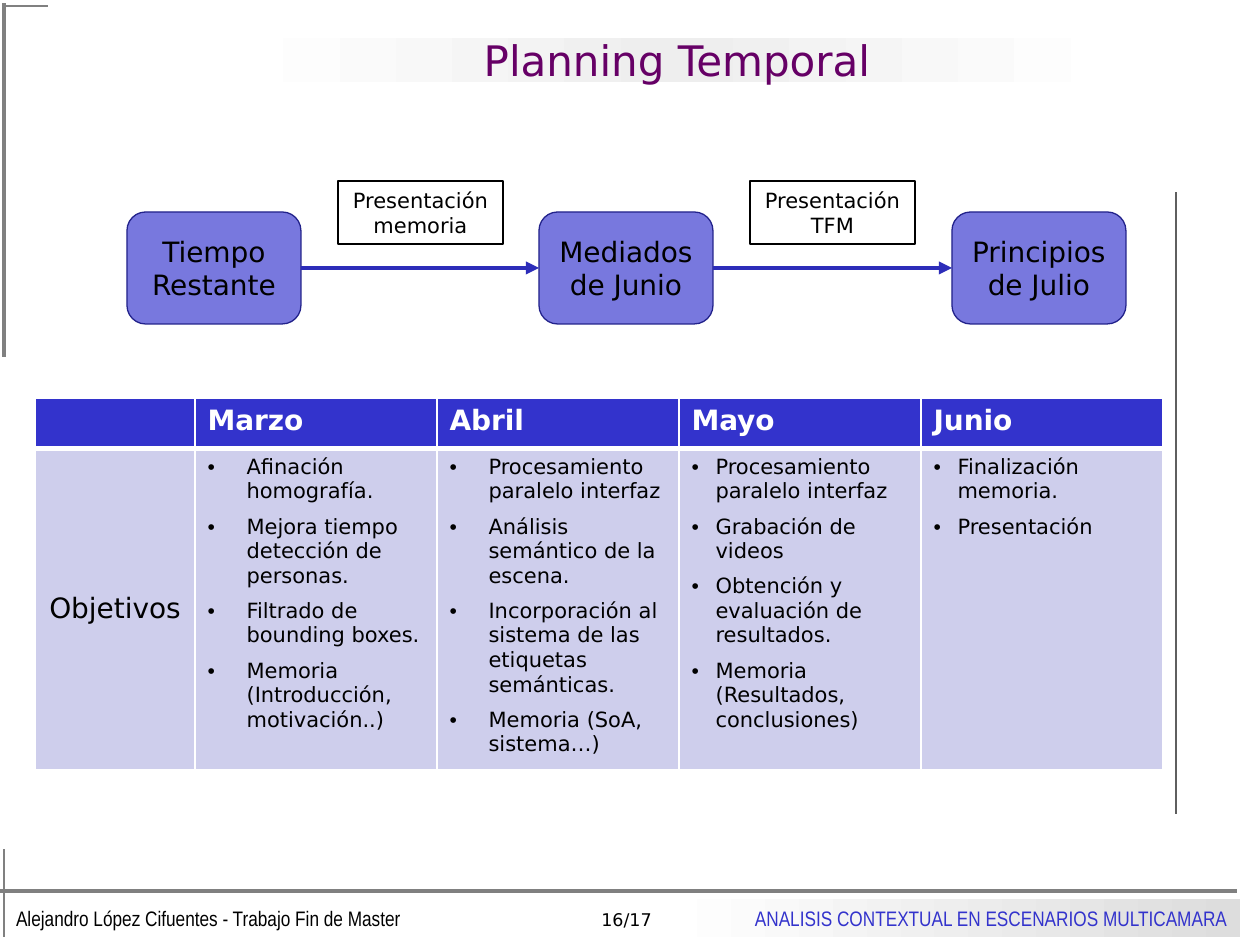
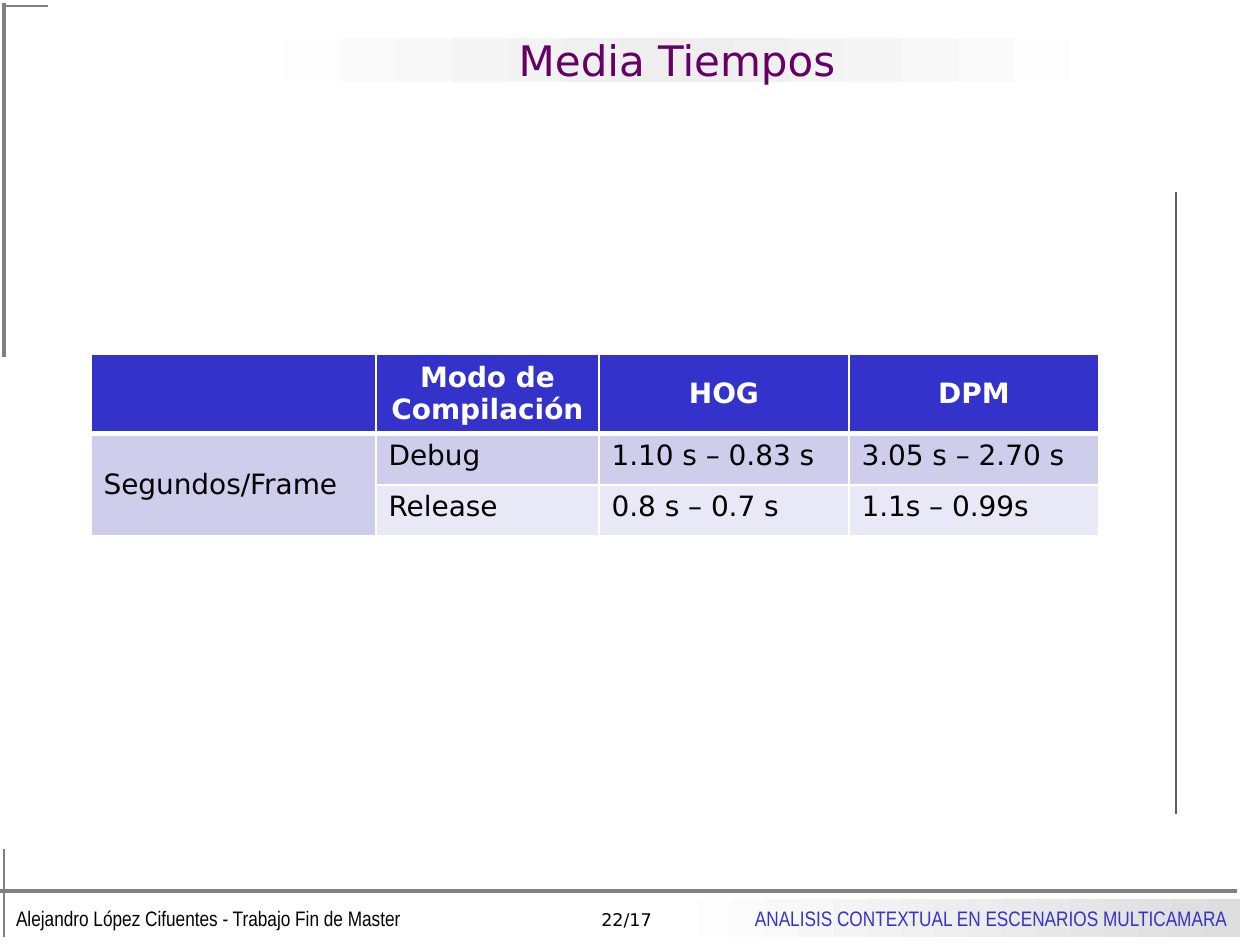
from lxml import etree
from pptx import Presentation
from pptx.dml.color import RGBColor
from pptx.enum.shapes import MSO_CONNECTOR, MSO_SHAPE
from pptx.enum.text import MSO_ANCHOR as ANCHOR, PP_ALIGN as ALIGN
from pptx.oxml import parse_xml
from pptx.oxml.ns import nsdecls, qn
from pptx.util import Emu, Pt

PURPLE = RGBColor(0x66, 0x00, 0x66)
BLUE = RGBColor(0x33, 0x33, 0xCC)
ARROW_BLUE = RGBColor(0x2D, 0x2D, 0xB9)
BOX_FILL = RGBColor(0x78, 0x78, 0xDE)
BOX_LINE = RGBColor(0x22, 0x22, 0x8B)
ROW_DARK = RGBColor(0xCE, 0xCE, 0xEC)
ROW_LIGHT = RGBColor(0xE8, 0xE8, 0xF6)
GRAY = RGBColor(0x80, 0x80, 0x80)
DARK_GRAY = RGBColor(0x5F, 0x5F, 0x5F)
BAND_GRAY = RGBColor(0xDD, 0xDD, 0xDD)
TITLE_GRAY = RGBColor(0xEE, 0xEE, 0xEE)
BLACK = RGBColor(0, 0, 0)
WHITE = RGBColor(0xFF, 0xFF, 0xFF)

SANS, NARROW = "DejaVu Sans", "Arial Narrow"
PX = 914400 / 126

AUTHOR = "Alejandro López Cifuentes - Trabajo Fin de Master"
TOPIC = "ANALISIS CONTEXTUAL EN ESCENARIOS MULTICAMARA"
FRAME_LINES = [
    (1176, 814, 1176, 192, DARK_GRAY),
    (3, 357, 3, 3, GRAY),
    (4, 937, 4, 849, GRAY),
    (5, 357, 5, 3, GRAY),
    (48, 6, 3, 6, GRAY),
    (0, 890, 1237, 890, GRAY),
    (0, 892, 1237, 892, GRAY),
]

MILESTONES = ["Tiempo Restante", "Mediados de Junio", "Principios de Julio"]
DELIVERIES = ["Presentación memoria", "Presentación TFM"]
MONTHS = ["", "Marzo", "Abril", "Mayo", "Junio"]
GOALS = [
    (39, ["Afinación homografía.", "Mejora tiempo detección de personas.",
          "Filtrado de bounding boxes.", "Memoria (Introducción, motivación..)"]),
    (39, ["Procesamiento paralelo interfaz", "Análisis semántico de la escena.",
          "Incorporación al sistema de las etiquetas semánticas.",
          "Memoria (SoA, sistema…)"]),
    (24, ["Procesamiento paralelo interfaz", "Grabación de videos",
          "Obtención y evaluación de resultados.",
          "Memoria (Resultados, conclusiones)"]),
    (24, ["Finalización memoria.", "Presentación"]),
]
TIMES_HEAD = ["", "Modo de\nCompilación", "HOG", "DPM"]
TIMES = [
    ["Debug", "1.10 s – 0.83 s", "3.05 s – 2.70 s"],
    ["Release", "0.8 s – 0.7 s", "1.1s – 0.99s"],
]


def px(*values):
    return [Emu(round(v * PX)) for v in values]


def write(p, text, size, color=BLACK, font=SANS, bold=False, align=ALIGN.LEFT):
    p.alignment = align
    for i, line in enumerate(text.split("\n")):
        if i:
            p.add_line_break()
        r = p.add_run()
        r.text = line
        r.font.size, r.font.name, r.font.bold = Pt(size), font, bold
        r.font.color.rgb = color


def gradient(sp, *colors):
    last = len(colors) - 1
    stops = "".join(f'<a:gs pos="{100000 * i // last}"><a:srgbClr val="{c}"/></a:gs>'
                    for i, c in enumerate(colors))
    geom = sp._element.spPr.find(qn("a:prstGeom"))
    geom.addnext(parse_xml(f'<a:gradFill {nsdecls("a")} rotWithShape="1">'
                           f'<a:gsLst>{stops}</a:gsLst><a:lin ang="0" scaled="1"/></a:gradFill>'))


def add_box(slide, kind, box, text, size, line=None, fill=None, **style):
    sp = slide.shapes.add_shape(kind, *px(*box))
    sp.shadow.inherit = False
    if fill is None:
        sp.fill.background()
    else:
        sp.fill.solid()
        sp.fill.fore_color.rgb = fill
    if line is None:
        sp.line.fill.background()
    else:
        sp.line.color.rgb, sp.line.width = line, Pt(0.75)
    tf = sp.text_frame
    tf.word_wrap, tf.vertical_anchor = True, ANCHOR.MIDDLE
    write(tf.paragraphs[0], text, size, **{"align": ALIGN.CENTER, **style})
    return sp


def add_line(slide, ends, color, width):
    line = slide.shapes.add_connector(MSO_CONNECTOR.STRAIGHT, *px(*ends))
    line.line.color.rgb, line.line.width = color, Pt(width)
    etree.SubElement(line._element.spPr, qn("a:effectLst"))
    return line


def add_slide(prs, title, number):
    slide = prs.slides.add_slide(prs.slide_layouts[5])
    for *ends, color in FRAME_LINES:
        add_line(slide, ends, color, 0.75)
    band = add_box(slide, MSO_SHAPE.RECTANGLE, (663, 899, 577, 38), TOPIC, 12,
                   color=BLUE, font=NARROW, align=ALIGN.RIGHT)
    band.fill._xPr.remove(band._element.spPr.find(qn("a:noFill")))
    gradient(band, WHITE, BAND_GRAY)
    for box, text, size, font, align in [
            ((568, 903, 117, 34), number, 10, SANS, ALIGN.CENTER),
            ((16, 899, 435, 38), AUTHOR, 12, NARROW, ALIGN.LEFT)]:
        tf = slide.shapes.add_textbox(*px(*box)).text_frame
        tf.word_wrap = True
        if align == ALIGN.LEFT:
            tf.margin_left = 0
        write(tf.paragraphs[0], text, size, font=font, align=align)
    sp = slide.shapes.title
    sp.left, sp.top, sp.width, sp.height = px(227, 38, 900, 44)
    geom = etree.SubElement(sp._element.spPr, qn("a:prstGeom"), prst="rect")
    etree.SubElement(geom, qn("a:avLst"))
    gradient(sp, WHITE, TITLE_GRAY, WHITE)
    sp.text_frame.vertical_anchor = ANCHOR.MIDDLE
    write(sp.text_frame.paragraphs[0], title, 24, PURPLE, align=ALIGN.CENTER)
    return slide


def add_table(slide, left, top, widths, heights):
    box = px(left, top, sum(widths), sum(heights))
    table = slide.shapes.add_table(len(heights), len(widths), *box).table
    for col, w in zip(table.columns, px(*widths)):
        col.width = w
    for row, h in zip(table.rows, px(*heights)):
        row.height = h
    for r, fill in enumerate([BLUE, ROW_DARK, ROW_LIGHT][:len(heights)]):
        edges = {"L": 1, "R": 1, "T": 3 if r == 1 else 1, "B": 3 if r == 0 else 1}
        for cell in table.rows[r].cells:
            cell.fill.solid()
            cell.fill.fore_color.rgb = fill
            for i, (side, width) in enumerate(edges.items()):
                cell._tc.tcPr.insert(i, parse_xml(
                    f'<a:ln{side} {nsdecls("a")} w="{Pt(width)}"><a:solidFill>'
                    f'<a:srgbClr val="{WHITE}"/></a:solidFill></a:ln{side}>'))
    return table


def write_cell(cell, text, anchor=ANCHOR.TOP, **style):
    cell.vertical_anchor = anchor
    write(cell.text_frame.paragraphs[0], text, 16, **style)


def write_bullets(cell, indent, items):
    tf = cell.text_frame
    for i, item in enumerate(items):
        p = tf.add_paragraph() if i else tf.paragraphs[0]
        p.space_after = Pt(6)
        pPr = p._p.get_or_add_pPr()
        width = px(indent)[0]
        pPr.set("marL", str(width))
        pPr.set("indent", str(-width))
        etree.SubElement(pPr, qn("a:buFont"), typeface="Arial")
        etree.SubElement(pPr, qn("a:buChar"), char="•")
        write(p, item, 12)


def build_planning(prs):
    slide = add_slide(prs, "Planning Temporal", "16/17")
    lefts = [127 + 825 * i // 2 for i in range(len(MILESTONES))]
    boxes = [add_box(slide, MSO_SHAPE.ROUNDED_RECTANGLE, (x, 212, 174, 112), text, 16,
                     BOX_LINE, BOX_FILL) for x, text in zip(lefts, MILESTONES)]
    for start, end in zip(boxes, boxes[1:]):
        arrow = add_line(slide, (0, 0, 0, 0), ARROW_BLUE, 2.5)
        arrow.begin_connect(start, 3)
        arrow.end_connect(end, 1)
        etree.SubElement(arrow.line._get_or_add_ln(), qn("a:tailEnd"), type="triangle")
    for x, text in zip(lefts, DELIVERIES):
        add_box(slide, MSO_SHAPE.RECTANGLE, (x + 211, 181, 165, 63), text, 12, BLACK)

    table = add_table(slide, 35, 398, [160] + [242] * 4, [49, 315])
    for c, month in enumerate(MONTHS):
        write_cell(table.cell(0, c), month, color=WHITE, bold=True)
    write_cell(table.cell(1, 0), "Objetivos", ANCHOR.MIDDLE, align=ALIGN.CENTER)
    for c, (indent, items) in enumerate(GOALS, 1):
        write_bullets(table.cell(1, c), indent, items)


def build_times(prs):
    slide = add_slide(prs, "Media Tiempos", "22/17")
    table = add_table(slide, 91, 354, [285, 223, 250, 250], [78, 51, 51])
    for c, text in enumerate(TIMES_HEAD):
        write_cell(table.cell(0, c), text, ANCHOR.MIDDLE, color=WHITE, bold=True,
                   align=ALIGN.CENTER)
    table.cell(1, 0).merge(table.cell(2, 0))
    write_cell(table.cell(1, 0), "Segundos/Frame", ANCHOR.MIDDLE)
    for r, row in enumerate(TIMES, 1):
        for c, text in enumerate(row, 1):
            write_cell(table.cell(r, c), text)


def main():
    prs = Presentation()
    prs.slide_width, prs.slide_height = px(1260, 945)
    build_planning(prs)
    build_times(prs)
    prs.save("out.pptx")


if __name__ == "__main__":
    main()
